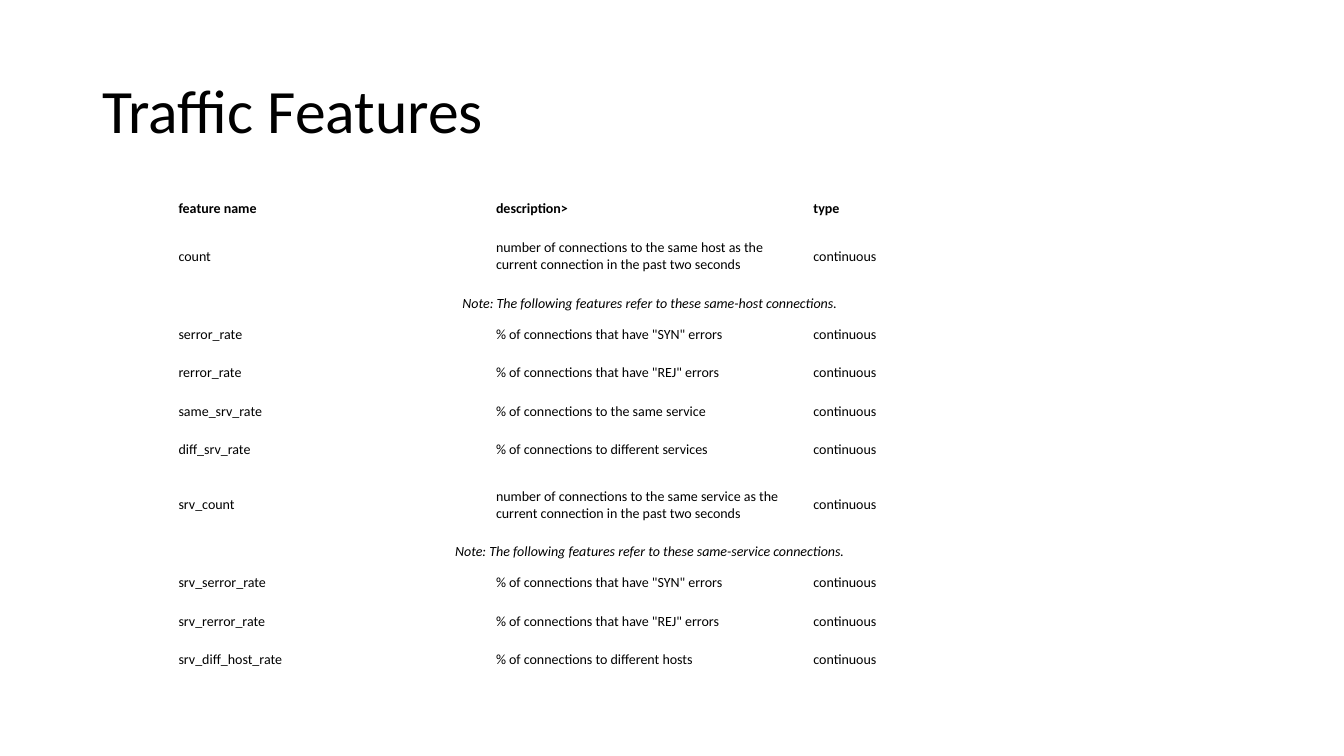
from dataclasses import dataclass

from pptx import Presentation
from pptx.dml.color import RGBColor
from pptx.enum.text import MSO_ANCHOR, PP_ALIGN
from pptx.slide import Slide
from pptx.table import Table, _Cell
from pptx.text.text import _Paragraph
from pptx.util import Cm, Pt

FONT = "Calibri"
BLACK = "000000"
WHITE = "FFFFFF"
COLUMN_WIDTH = 8.0
LINE_ROW, FEATURE_ROW, TALL_ROW = 0.58, 0.97, 1.8
CELL_FORMAT = {
    "vertical_anchor": MSO_ANCHOR.MIDDLE,
    "margin_left": Cm(0.13),
    "margin_right": Cm(0.13),
    "margin_top": Cm(0.07),
    "margin_bottom": Cm(0.07),
}


@dataclass(frozen=True)
class Feature:
    name: str
    description: str
    kind: str = "continuous"
    height: float = FEATURE_ROW
    bold: bool = False


@dataclass(frozen=True)
class Note:
    text: str
    height: float = LINE_ROW


ENTRIES: list[Feature | Note] = [
    Feature("feature name", "description>", "type", LINE_ROW, bold=True),
    Feature("count", "number of connections to the same host as the current "
            "connection in the past two seconds", height=TALL_ROW),
    Note("Note: The following features refer to these same-host connections."),
    Feature("serror_rate", '% of connections that have "SYN" errors'),
    Feature("rerror_rate", '% of connections that have "REJ" errors'),
    Feature("same_srv_rate", "% of connections to the same service"),
    Feature("diff_srv_rate", "% of connections to different services"),
    Feature("srv_count", "number of connections to the same service as the current "
            "connection in the past two seconds", height=TALL_ROW),
    Note("Note: The following features refer to these same-service connections."),
    Feature("srv_serror_rate", '% of connections that have "SYN" errors'),
    Feature("srv_rerror_rate", '% of connections that have "REJ" errors'),
    Feature("srv_diff_host_rate", "% of connections to different hosts"),
]


def color(code: str) -> RGBColor:
    return RGBColor.from_string(code)


def apply(target: object, values: dict[str, object]) -> None:
    """Set each named attribute of the target."""
    for attribute, value in values.items():
        setattr(target, attribute, value)


def write(paragraph: _Paragraph, text: str, size: float,
          bold: bool = False, italic: bool = False) -> None:
    run = paragraph.add_run()
    run.text = text
    apply(run.font, {"name": FONT, "size": Pt(size), "bold": bold, "italic": italic})
    run.font.color.rgb = color(BLACK)


def format_cell(cell: _Cell) -> None:
    apply(cell, CELL_FORMAT)
    cell.fill.solid()
    cell.fill.fore_color.rgb = color(WHITE)


def fill_row(table: Table, index: int, entry: Feature | Note) -> None:
    table.rows[index].height = Cm(entry.height)
    cells = list(table.rows[index].cells)
    for cell in cells:
        format_cell(cell)
    if isinstance(entry, Note):
        cells[0].merge(cells[-1])
        paragraph = cells[0].text_frame.paragraphs[0]
        paragraph.alignment = PP_ALIGN.CENTER
        write(paragraph, entry.text, 10, italic=True)
    else:
        for cell, text in zip(cells, (entry.name, entry.description, entry.kind)):
            write(cell.text_frame.paragraphs[0], text, 10, bold=entry.bold)


def add_title(slide: Slide, text: str) -> None:
    title = slide.shapes.add_textbox(Cm(2.33), Cm(1.01), Cm(29.21), Cm(3.68))
    apply(title.text_frame, {"word_wrap": True, "vertical_anchor": MSO_ANCHOR.MIDDLE})
    heading = title.text_frame.paragraphs[0]
    heading.line_spacing = 0.9
    write(heading, text, 44)


def add_feature_table(slide: Slide) -> None:
    height = sum(entry.height for entry in ENTRIES)
    table = slide.shapes.add_table(len(ENTRIES), 3, Cm(4.37), Cm(4.98),
                                   Cm(3 * COLUMN_WIDTH), Cm(height)).table
    apply(table, {"first_row": False, "horz_banding": False})
    for column in table.columns:
        column.width = Cm(COLUMN_WIDTH)
    for index, entry in enumerate(ENTRIES):
        fill_row(table, index, entry)


def main() -> None:
    presentation = Presentation()
    apply(presentation, {"slide_width": Cm(33.87), "slide_height": Cm(19.05)})
    slide = presentation.slides.add_slide(presentation.slide_layouts[6])
    add_title(slide, "Traffic Features")
    add_feature_table(slide)
    presentation.save("out.pptx")


if __name__ == "__main__":
    main()
